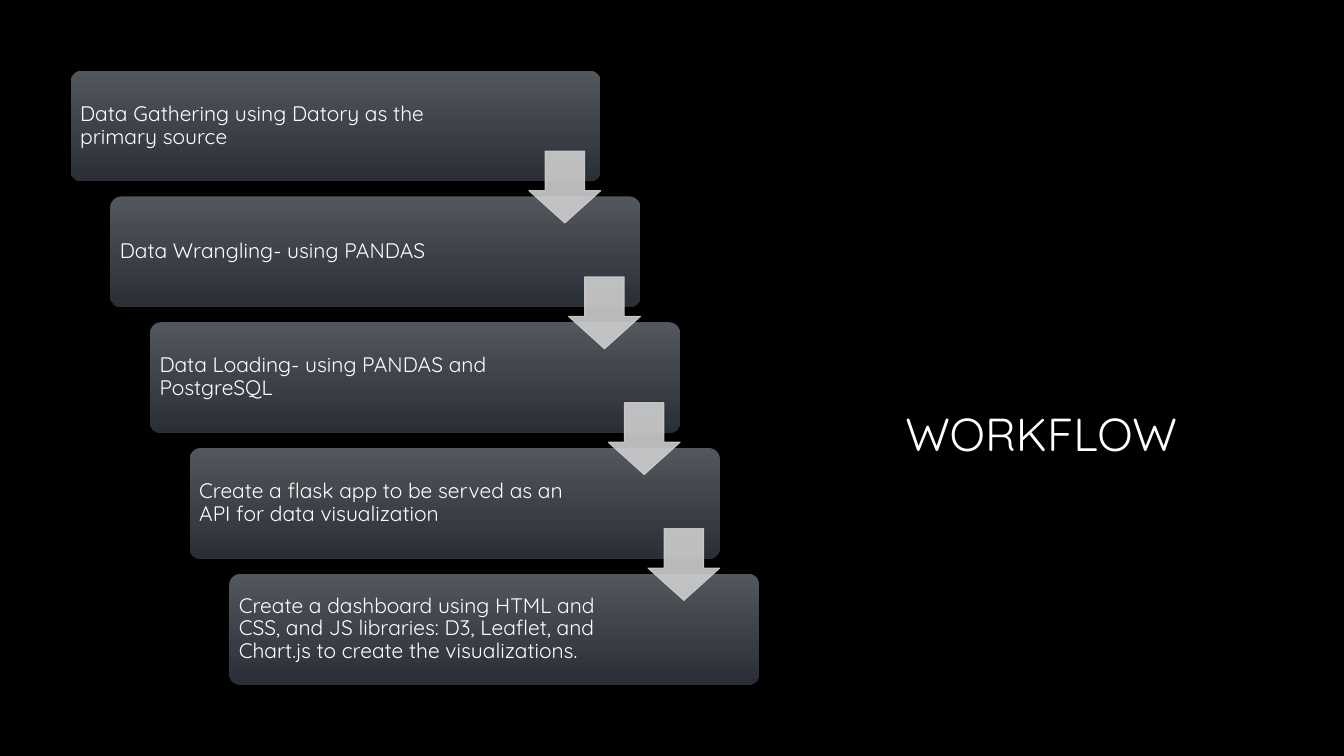
from lxml import etree
from pptx import Presentation
from pptx.dml.color import RGBColor
from pptx.enum import shapes, text
from pptx.oxml import ns
from pptx.util import Cm, Pt

FONT = "Quicksand"
COLORS = {
    "background": "000000",
    "text": "FFFFFF",
    "card_top": "52565D",
    "card_bottom": "2A2F37",
    "arrow": "CECECF",
}
STEPS = [
    "Data Gathering using Datory as the primary source",
    "Data Wrangling- using PANDAS",
    "Data Loading- using PANDAS and PostgreSQL",
    "Create a flask app to be served as an API for data visualization",
    "Create a dashboard using HTML and CSS, and JS libraries: D3, Leaflet, "
    "and Chart.js to create the visualizations.",
]

# Staircase geometry in centimetres
LEFT, TOP = 1.78, 1.78
STEP_X, STEP_Y = 1.0, 3.17
CARD_WIDTH, CARD_HEIGHT = 13.36, 2.79
ARROW_SIZE = 1.81
ARROW_DROP = 2.03


def color(name):
    return RGBColor.from_string(COLORS[name])


def format_text(frame, content, size):
    frame.word_wrap = True
    frame.vertical_anchor = text.MSO_ANCHOR.MIDDLE
    frame.text = content
    paragraph = frame.paragraphs[0]
    paragraph.alignment = text.PP_ALIGN.LEFT
    paragraph.line_spacing = 0.9
    paragraph.font.name = FONT
    paragraph.font.size = Pt(size)
    paragraph.font.color.rgb = color("text")


def set_title(slide, content):
    title = slide.shapes.title
    title.left, title.top = Cm(22.56), Cm(1.78)
    title.width, title.height = Cm(8.74), Cm(15.47)
    frame = title.text_frame
    format_text(frame, content, 33)
    frame.auto_size = text.MSO_AUTO_SIZE.NONE
    frame.margin_top = Cm(3.1)


def add_card(slide, left, top, content):
    card = slide.shapes.add_shape(
        shapes.MSO_SHAPE.ROUNDED_RECTANGLE,
        Cm(left), Cm(top), Cm(CARD_WIDTH), Cm(CARD_HEIGHT))
    card.adjustments[0] = 0.1
    card.shadow.inherit = False
    card.line.fill.background()
    card.fill.gradient()
    card.fill.gradient_angle = 270
    for stop, name in zip(card.fill.gradient_stops, ("card_top", "card_bottom")):
        stop.color.rgb = color(name)
    frame = card.text_frame
    format_text(frame, content, 15)
    frame.margin_left = frame.margin_top = frame.margin_bottom = Cm(0.16)
    frame.margin_right = Cm(2.95)


def add_arrow(slide, left, top):
    arrow = slide.shapes.add_shape(
        shapes.MSO_SHAPE.DOWN_ARROW,
        Cm(left), Cm(top), Cm(ARROW_SIZE), Cm(ARROW_SIZE))
    arrow.adjustments[0] = 0.55
    arrow.adjustments[1] = 0.45
    arrow.shadow.inherit = False
    arrow.line.width = Pt(0.75)
    for fill in (arrow.fill, arrow.line.fill):
        fill.solid()
        fill.fore_color.rgb = color("arrow")
    # Fill and outline are 90 % opaque
    for element in arrow.element.spPr.iter(ns.qn("a:srgbClr")):
        etree.SubElement(element, ns.qn("a:alpha"), val="90000")


def main():
    presentation = Presentation()
    presentation.slide_width, presentation.slide_height = Cm(33.87), Cm(19.05)
    slide = presentation.slides.add_slide(presentation.slide_layouts[5])
    slide.background.fill.solid()
    slide.background.fill.fore_color.rgb = color("background")

    set_title(slide, "WORKFLOW")

    # Cards step down to the right
    for index, content in enumerate(STEPS):
        add_card(slide, LEFT + index * STEP_X, TOP + index * STEP_Y, content)

    # Each arrow sits flush with the right edge of the card above it
    for index in range(len(STEPS) - 1):
        add_arrow(slide,
                  LEFT + index * STEP_X + CARD_WIDTH - ARROW_SIZE,
                  TOP + index * STEP_Y + ARROW_DROP)

    presentation.save("out.pptx")


if __name__ == "__main__":
    main()
